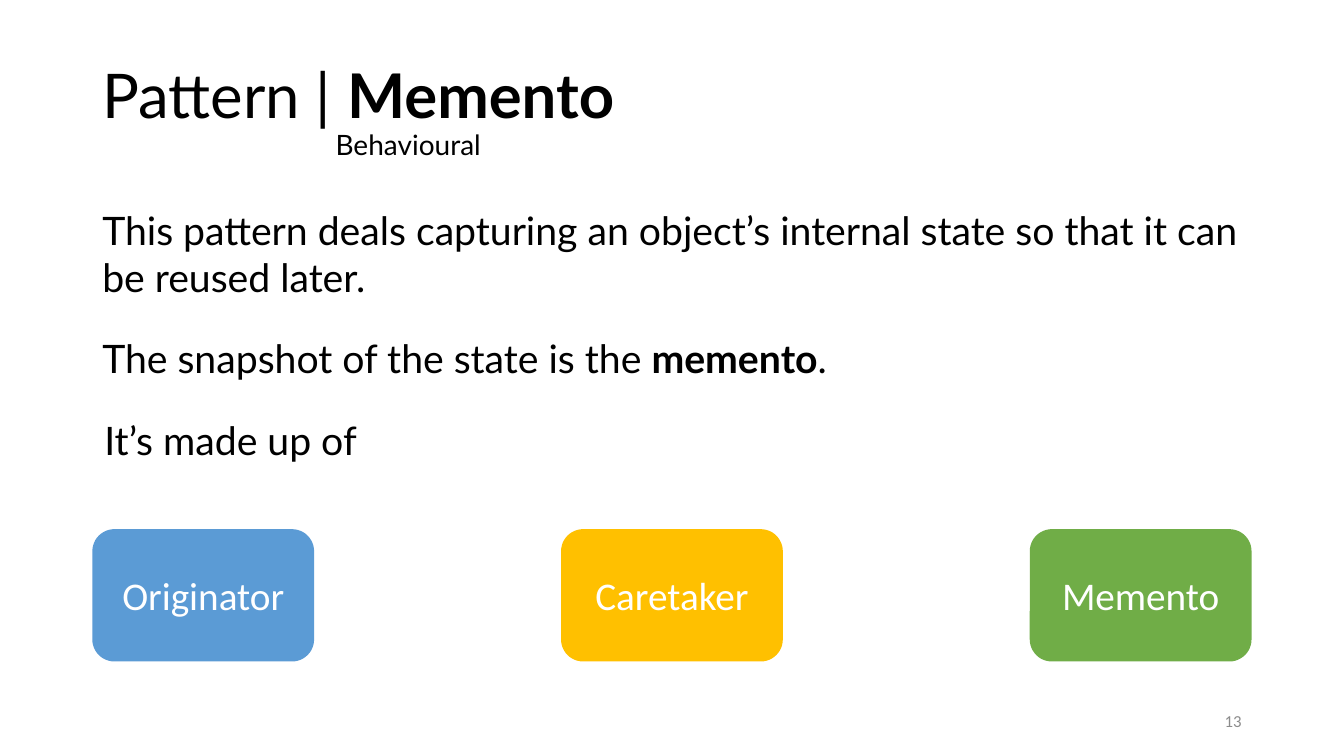
import pptx
import pptx.util
import pptx.dml.color
import pptx.enum.shapes
import pptx.enum.text
import lxml.etree

Pt = pptx.util.Pt
ALIGN = pptx.enum.text.PP_ALIGN
ANCHOR = pptx.enum.text.MSO_ANCHOR

TITLE = [("Pattern | ", 44, False), ("Memento", 44, True)]
KIND = [("\t", 20, True), ("Behavioural", 20, False)]
BODY = [
    [("This pattern deals capturing an object’s internal state "
      "so that it can be reused later.", 28, False)],
    [("The snapshot of the state is the ", 28, False),
     ("memento", 28, True), (".", 28, False)],
]
LEAD = [[("It’s made up of", 28, False)]]
PARTS = [("Originator", "5B9BD5"), ("Caretaker", "FFC000"), ("Memento", "70AD47")]
NUMBER = "13"

LEFT, WIDE = 66, 828
PART_TOP, PART_WIDE, PART_HIGH = 378, 158.4, 94.5
TAB = 166.5


def color(code):
    return pptx.dml.color.RGBColor.from_string(code)


def style(run, size, bold=False, face="Lato", code="000000"):
    run.font.size = Pt(size)
    run.font.bold = bold
    run.font.name = face
    run.font.color.rgb = color(code)


def write(par, runs):
    for text, size, bold in runs:
        run = par.add_run()
        run.text = text
        style(run, size, bold)


def label(frame, text, size, code, align):
    frame.word_wrap = True
    frame.vertical_anchor = ANCHOR.MIDDLE
    par = frame.paragraphs[0]
    par.text = text
    par.alignment = align
    style(par.runs[0], size, face="Calibri", code=code)


def prose(slide, left, top, high, pars):
    frame = slide.shapes.add_textbox(Pt(left), Pt(top), Pt(WIDE), Pt(high)).text_frame
    frame.word_wrap = True
    for i, runs in enumerate(pars):
        par = frame.add_paragraph() if i else frame.paragraphs[0]
        par.space_before = par.space_after = Pt(12)
        write(par, runs)


def head(slide):
    title = slide.shapes.title
    title.left, title.top = Pt(LEFT), Pt(28.8)
    title.width, title.height = Pt(WIDE), Pt(104.4)
    frame = title.text_frame
    frame.word_wrap = True
    frame.auto_size = pptx.enum.text.MSO_AUTO_SIZE.NONE
    frame.vertical_anchor = ANCHOR.MIDDLE
    par = frame.paragraphs[0]
    par.alignment = ALIGN.LEFT
    par.line_spacing = 0.9
    space = "{http://schemas.openxmlformats.org/drawingml/2006/main}"
    stops = lxml.etree.SubElement(par._p.get_or_add_pPr(), space + "tabLst")
    lxml.etree.SubElement(stops, space + "tab", pos=str(int(Pt(TAB))), algn="l")
    write(par, TITLE)
    par.add_line_break()
    write(par, KIND)


def boxes(slide):
    step = (WIDE - PART_WIDE) / (len(PARTS) - 1)
    for i, (name, code) in enumerate(PARTS):
        box = slide.shapes.add_shape(
            pptx.enum.shapes.MSO_SHAPE.ROUNDED_RECTANGLE,
            Pt(LEFT + i * step), Pt(PART_TOP), Pt(PART_WIDE), Pt(PART_HIGH))
        box.shadow.inherit = False
        box.fill.solid()
        box.fill.fore_color.rgb = color(code)
        box.line.fill.background()
        label(box.text_frame, name, 28, "FFFFFF", ALIGN.CENTER)


def main():
    deck = pptx.Presentation()
    deck.slide_width, deck.slide_height = Pt(960), Pt(540)
    slide = deck.slides.add_slide(deck.slide_layouts[5])
    head(slide)
    prose(slide, LEFT, 144, 138, BODY)
    prose(slide, 67.5, 294, 43, LEAD)
    boxes(slide)
    page = slide.shapes.add_textbox(Pt(678), Pt(500.5), Pt(216), Pt(28.8))
    label(page.text_frame, NUMBER, 12, "8C8C8C", ALIGN.RIGHT)
    deck.save("out.pptx")


if __name__ == "__main__":
    main()
